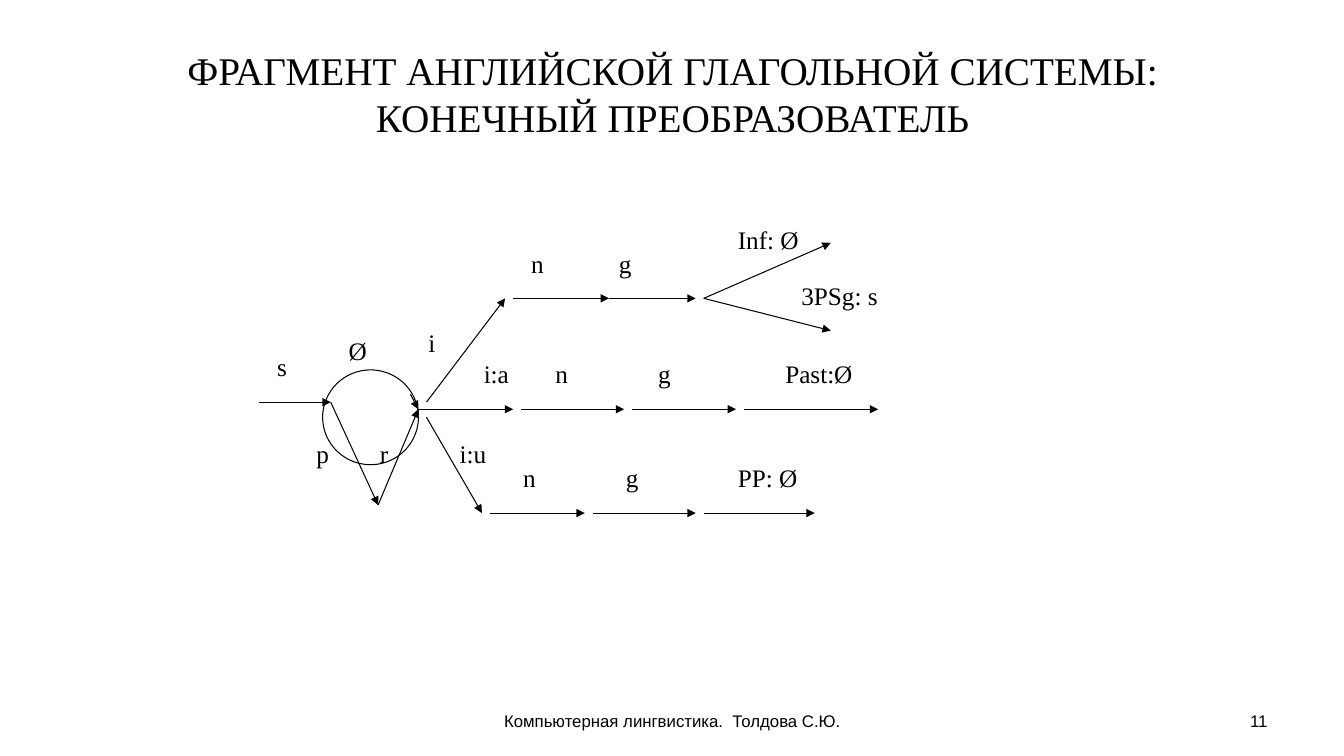
from dataclasses import dataclass

from lxml import etree
from pptx import Presentation
from pptx.dml.color import RGBColor
from pptx.enum.shapes import MSO_CONNECTOR, MSO_SHAPE
from pptx.enum.text import MSO_ANCHOR, PP_ALIGN
from pptx.oxml.ns import qn
from pptx.util import Inches, Pt

LEFT, CENTER, RIGHT = PP_ALIGN.LEFT, PP_ALIGN.CENTER, PP_ALIGN.RIGHT
TOP, MIDDLE = MSO_ANCHOR.TOP, MSO_ANCHOR.MIDDLE
STRAIGHT, OVAL = MSO_CONNECTOR.STRAIGHT, MSO_SHAPE.OVAL


@dataclass(frozen=True)
class Theme:
    ink: RGBColor = RGBColor(0, 0, 0)
    paper: RGBColor = RGBColor(255, 255, 255)
    serif: str = "Times New Roman"
    sans: str = "Arial"
    title: int = 28
    label: int = 18
    small: int = 12
    line: float = 0.75


THEME = Theme()

# Places are inches from the corner of the diagram.
HIGH, MID, LOW = 0.78, 1.88, 2.91
ENTRY, DIP, HUB = (0.71, 1.81), (1.18, 2.83), (1.58, MID)
FORK, TIP = (4.41, HIGH), 5.67
LOOP = (0.63, 1.49, 0.95, 0.94)

# Each arc: start, end, text, place of the text, width of the text box
STEM = [
    ((0, 1.81), ENTRY, "s", (0.08, 1.26), 0.47),
    ((1.5, 1.73), HUB, "Ø", (0.79, 1.1), 0.47),
    (ENTRY, DIP, "p", (0.47, 2.12), 0.47),
    (DIP, HUB, "r", (1.1, 2.12), 0.47),
    ((1.66, 1.81), (2.44, HIGH), "i", (1.58, 1.02), 0.47),
    (HUB, (2.52, MID), "i:a", (2.13, 1.33), 0.47),
    ((1.66, 1.96), (2.21, LOW), "i:u", (1.89, 2.12), 0.47),
    (FORK, (TIP, 0.23), "Inf: Ø", (4.65, 0), 0.94),
    (FORK, (TIP, 1.1), "3PSg: s", (5.28, 0.55), 1.26),
]

# Each row: height, then start, end, text, left and width of the text box
ROWS = [
    (HIGH, [(2.52, 3.47, "n", 2.6, 0.47), (3.47, 4.33, "g", 3.47, 0.47)]),
    (MID, [(2.6, 3.62, "n", 2.84, 0.47), (3.7, 4.73, "g", 3.86, 0.47),
           (4.81, 6.14, "Past:Ø", 5.12, 1.02)]),
    (LOW, [(2.29, 3.23, "n", 2.52, 0.47), (3.31, 4.33, "g", 3.54, 0.47),
           (4.41, 5.51, "PP: Ø", 4.65, 0.94)]),
]
RISE = 0.55


def add_text(slide, box, text, size, font, align=LEFT, anchor=TOP):
    frame = slide.shapes.add_textbox(*map(Inches, box)).text_frame
    frame.word_wrap = True
    frame.vertical_anchor = anchor
    frame.text = text
    para = frame.paragraphs[0]
    para.alignment = align
    face = para.runs[0].font
    face.size, face.name = Pt(size), font
    face.color.rgb = THEME.ink


def set_line(shape):
    shape.line.color.rgb = THEME.ink
    shape.line.width = Pt(THEME.line)


def add_arrow(slide, start, end):
    arrow = slide.shapes.add_connector(STRAIGHT, *map(Inches, start + end))
    set_line(arrow)
    props = arrow.line._get_or_add_ln()
    etree.SubElement(props, qn("a:tailEnd"), type="triangle")
    etree.SubElement(arrow._element.spPr, qn("a:effectLst"))


def add_loop(slide, box):
    loop = slide.shapes.add_shape(OVAL, *map(Inches, box))
    loop.shadow.inherit = False
    loop.fill.background()
    set_line(loop)


def add_title(slide, box):
    add_text(slide, box,
             "ФРАГМЕНТ АНГЛИЙСКОЙ ГЛАГОЛЬНОЙ СИСТЕМЫ: КОНЕЧНЫЙ ПРЕОБРАЗОВАТЕЛЬ",
             THEME.title, THEME.serif, CENTER, MIDDLE)


def add_graph(slide, box):
    """Draw the transducer: its loop, then every arc with its label."""
    left, top = box

    def place(spot):
        return left + spot[0], top + spot[1]

    arcs = STEM + [
        ((x1, y), (x2, y), text, (x, y - RISE), wide)
        for y, row in ROWS for x1, x2, text, x, wide in row
    ]
    add_loop(slide, place(LOOP) + LOOP[2:])
    for start, end, text, spot, wide in arcs:
        add_arrow(slide, place(start), place(end))
        add_text(slide, place(spot) + (wide, 0.4), text,
                 THEME.label, THEME.serif)


def add_footer(slide, box):
    left, top, wide, high = box
    note, page = 4.22, 3.11
    add_text(slide, (left + (wide - note) / 2, top, note, high),
             "Компьютерная лингвистика.  Толдова С.Ю.",
             THEME.small, THEME.sans, CENTER, MIDDLE)
    add_text(slide, (left + wide - page, top, page, high), "11",
             THEME.small, THEME.sans, RIGHT, MIDDLE)


def main():
    deck = Presentation()
    deck.slide_width, deck.slide_height = Inches(13.33), Inches(7.5)
    slide = deck.slides.add_slide(deck.slide_layouts[6])
    slide.background.fill.solid()
    slide.background.fill.fore_color.rgb = THEME.paper
    add_title(slide, (0.67, 0.3, 12, 1.25))
    add_graph(slide, (2.57, 2.18))
    add_footer(slide, (0.67, 6.95, 12, 0.4))
    deck.save("out.pptx")


if __name__ == "__main__":
    main()
